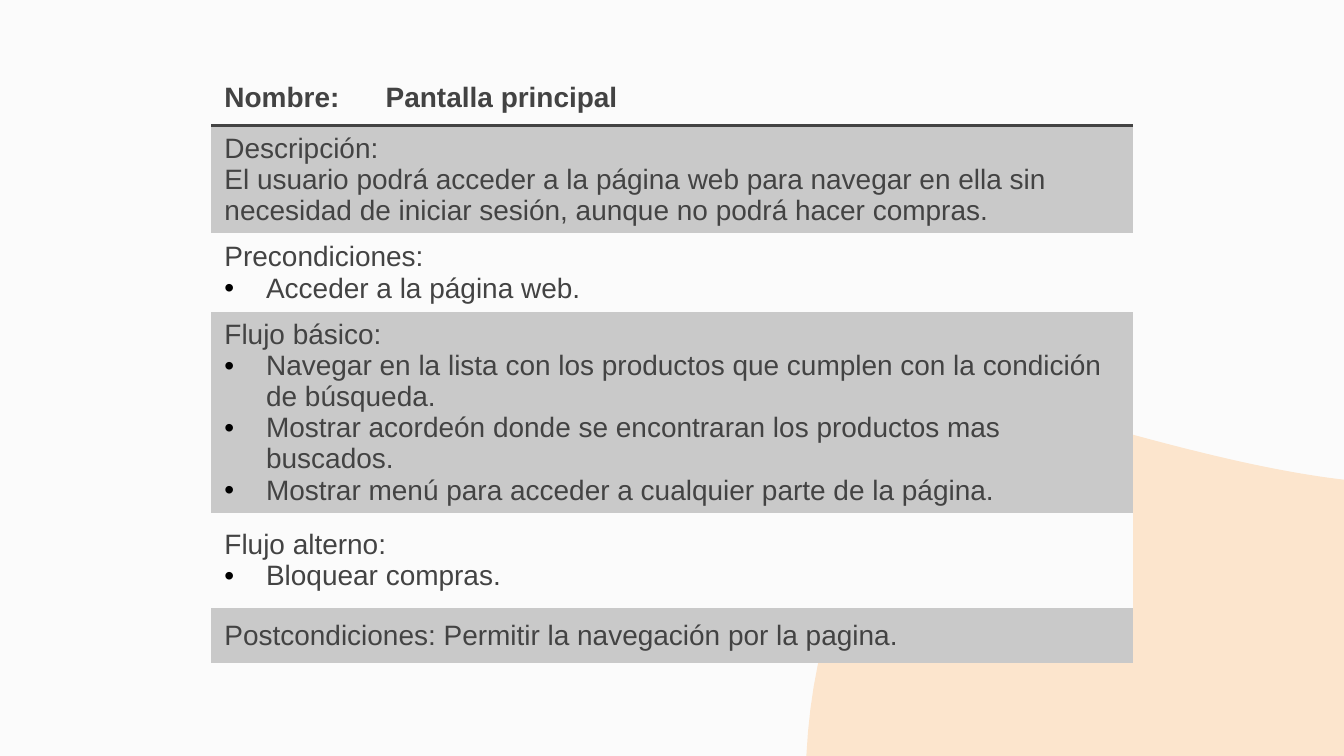
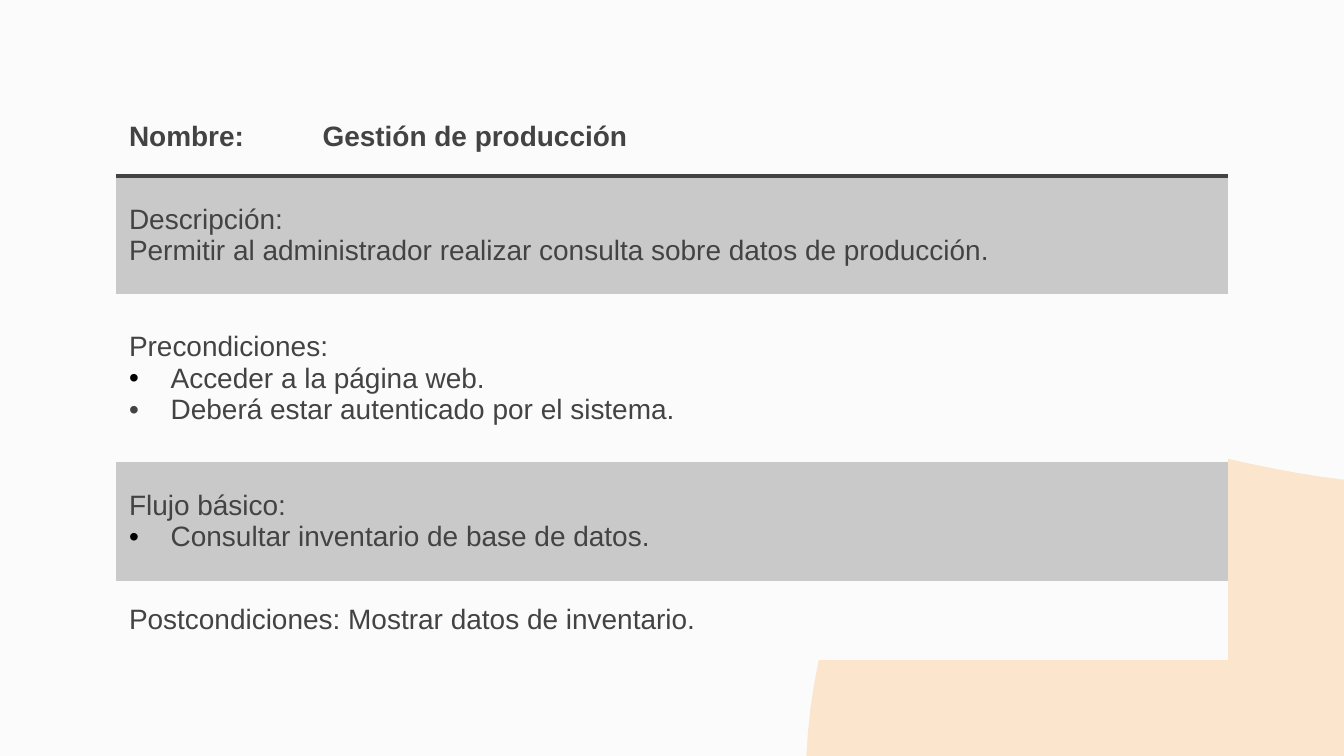
from lxml import etree
from pptx import Presentation
from pptx.dml.color import RGBColor
from pptx.enum.text import MSO_ANCHOR
from pptx.oxml.ns import qn
from pptx.util import Inches, Pt

MIDDLE = MSO_ANCHOR.MIDDLE
COLUMNS = 100
ROWS = COLUMNS * 9 / 16
NO_STYLE = "{2D5ABB26-0587-4C30-8999-92F81FD0307C}"
PAPER, BAND, INK, PEACH, BLACK = "FBFBFB", "C9C9C9", "434343", "FCE5CD", "000000"

# Corner wave in grid units: start point, then Bézier segments (control, control, end)
WAVE_START = (60, ROWS)
WAVE_CURVES = [
    ((60.7, 42.1), (67.6, 31), (77.6, 31)),
    ((78.9, 31), (80.2, 31.2), (81.6, 31.6)),
    ((89.4, 33.8), (95, 35.1), (COLUMNS, 35.7)),
]


def rgb(color):
    return RGBColor.from_string(color)


def add_color(parent, tag, color):
    etree.SubElement(etree.SubElement(parent, qn(tag)), qn("a:srgbClr"), val=color)


def bezier(p0, p1, p2, p3, steps=24):
    """Points along a cubic curve, without its start."""
    points = []
    for i in range(1, steps + 1):
        t = i / steps
        u = 1 - t
        points.append(tuple(
            u**3 * a + 3 * u * u * t * b + 3 * u * t * t * c + t**3 * d
            for a, b, c, d in zip(p0, p1, p2, p3)))
    return points


def write(p, text, size=15, color=INK, bold=False, bullet=None):
    """Fill a paragraph; bullet is the colour of its bullet, if any."""
    if bullet:
        pPr = p._p.get_or_add_pPr()
        pPr.set("marL", str(Inches(0.31)))
        pPr.set("indent", str(-Inches(0.31)))
        add_color(pPr, "a:buClr", bullet)
        etree.SubElement(pPr, qn("a:buFont"), typeface="Arial")
        etree.SubElement(pPr, qn("a:buChar"), char="•")
    r = p.add_run()
    r.text = text
    r.font.name, r.font.size, r.font.bold = "Arial", Pt(size), bold
    r.font.color.rgb = rgb(color)


class Deck:
    """Slide style plus the current slide; lengths are in grid units."""

    def __init__(self):
        self.prs = Presentation()
        self.prs.slide_width = Inches(10)
        self.unit = self.prs.slide_width // COLUMNS
        self.prs.slide_height = self.length(ROWS)

    def length(self, units):
        return round(units * self.unit)

    def slide(self):
        self.s = self.prs.slides.add_slide(self.prs.slide_layouts[6])
        fill = self.s.background.fill
        fill.solid()
        fill.fore_color.rgb = rgb(PAPER)
        self.wave()

    def wave(self):
        points = [WAVE_START]
        for curve in WAVE_CURVES:
            points += bezier(points[-1], *curve)
        points.append((COLUMNS, ROWS))
        start, *rest = [(self.length(x), self.length(y)) for x, y in points]
        builder = self.s.shapes.build_freeform(*start)
        builder.add_line_segments(rest, close=True)
        sp = builder.convert_to_shape()
        sp.shadow.inherit = False
        sp.fill.solid()
        sp.fill.fore_color.rgb = rgb(PEACH)
        sp.line.fill.background()

    def cell(self, cell, lines, fill, bold=False):
        """Lines are plain text or (text, bullet colour) pairs."""
        cell.vertical_anchor = MIDDLE
        cell.fill.solid()
        cell.fill.fore_color.rgb = rgb(fill)
        tf = cell.text_frame
        for i, line in enumerate(lines):
            p = tf.add_paragraph() if i else tf.paragraphs[0]
            text, bullet = (line, None) if isinstance(line, str) else line
            write(p, text, bold=bold, bullet=bullet)

    def underline(self, cell, width=2):
        tcPr = cell._tc.get_or_add_tcPr()
        ln = etree.Element(qn("a:lnB"), w=str(Pt(width)))
        add_color(ln, "a:solidFill", INK)
        tcPr.insert(0, ln)

    def use_case(self, name, sections, top, cols, rows):
        """A horizontally centred table: a header row, then full-width banded rows."""
        self.slide()
        width = sum(cols)
        frame = self.s.shapes.add_table(
            len(rows), len(cols), self.length((COLUMNS - width) / 2),
            self.length(top), self.length(width), self.length(sum(rows)))
        table = frame.table
        table._tbl.tblPr.find(qn("a:tableStyleId")).text = NO_STYLE
        table.first_row = table.horz_banding = False
        for column, units in zip(table.columns, cols):
            column.width = self.length(units)
        for row, units in zip(table.rows, rows):
            row.height = self.length(units)

        for i, text in enumerate(("Nombre:", name)):
            self.cell(table.cell(0, i), [text], PAPER, bold=True)
            self.underline(table.cell(0, i))
        for i, lines in enumerate(sections, start=1):
            first = table.cell(i, 0)
            first.merge(table.cell(i, 1))
            self.cell(first, lines, BAND if i % 2 else PAPER)


def main():
    deck = Deck()
    deck.use_case("Pantalla principal", [
        ["Descripción:",
         "El usuario podrá acceder a la página web para navegar en ella sin "
         "necesidad de iniciar sesión, aunque no podrá hacer compras."],
        ["Precondiciones:", ("Acceder a la página web.", BLACK)],
        ["Flujo básico:",
         ("Navegar en la lista con los productos que cumplen con la condición "
          "de búsqueda.", BLACK),
         ("Mostrar acordeón donde se encontraran los productos mas buscados.", BLACK),
         ("Mostrar menú para acceder a cualquier parte de la página.", BLACK)],
        ["Flujo alterno:", ("Bloquear compras.", BLACK)],
        ["Postcondiciones: Permitir la navegación por la pagina."],
    ], top=5.25, cols=[12, 56.6], rows=[4.1, 8, 5.9, 10.8, 7.1, 4.1])

    deck.use_case("Gestión de producción", [
        ["Descripción:",
         "Permitir al administrador realizar consulta sobre datos de producción."],
        ["Precondiciones:",
         ("Acceder a la página web.", BLACK),
         ("Deberá estar autenticado por el sistema.", INK)],
        ["Flujo básico:", ("Consultar inventario de base de datos.", BLACK)],
        ["Postcondiciones: Mostrar datos de inventario."],
    ], top=7.2, cols=[14.4, 68.4], rows=[5.9, 8.8, 12.5, 8.8, 5.9])

    deck.prs.save("out.pptx")


if __name__ == "__main__":
    main()
